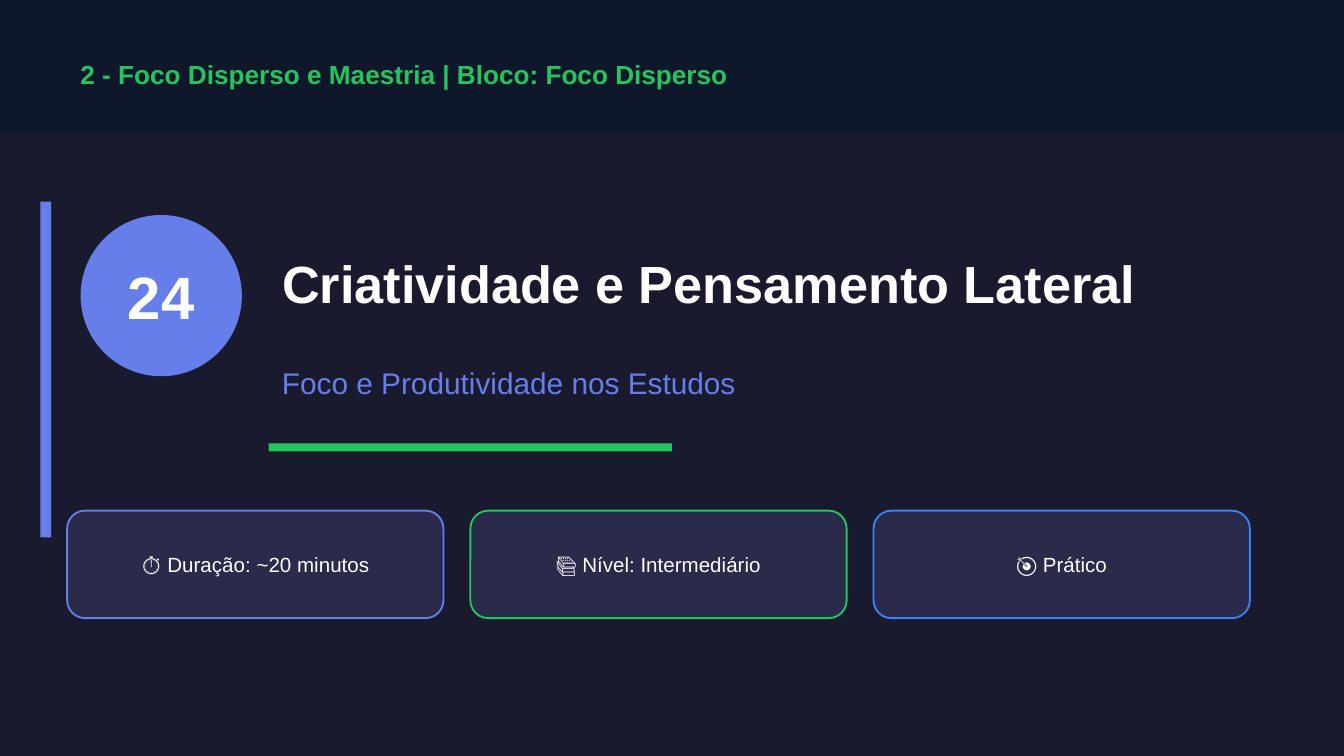
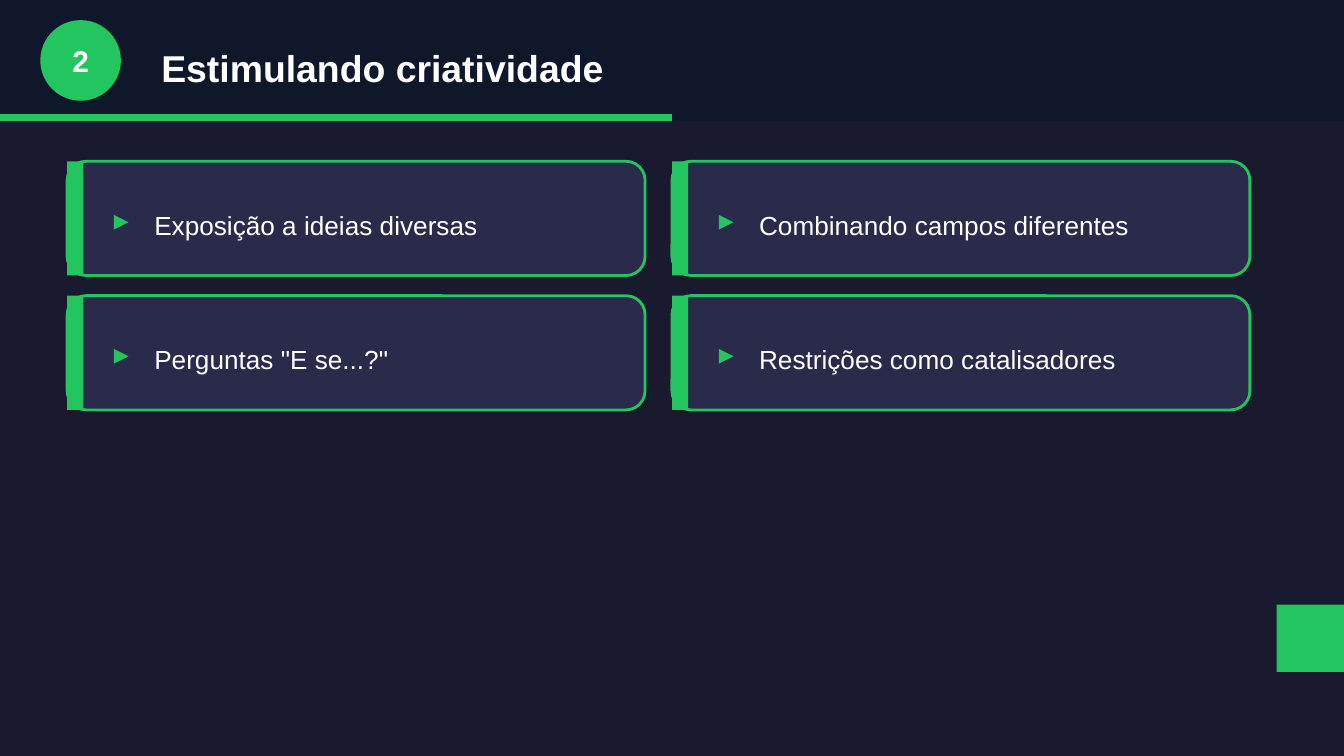
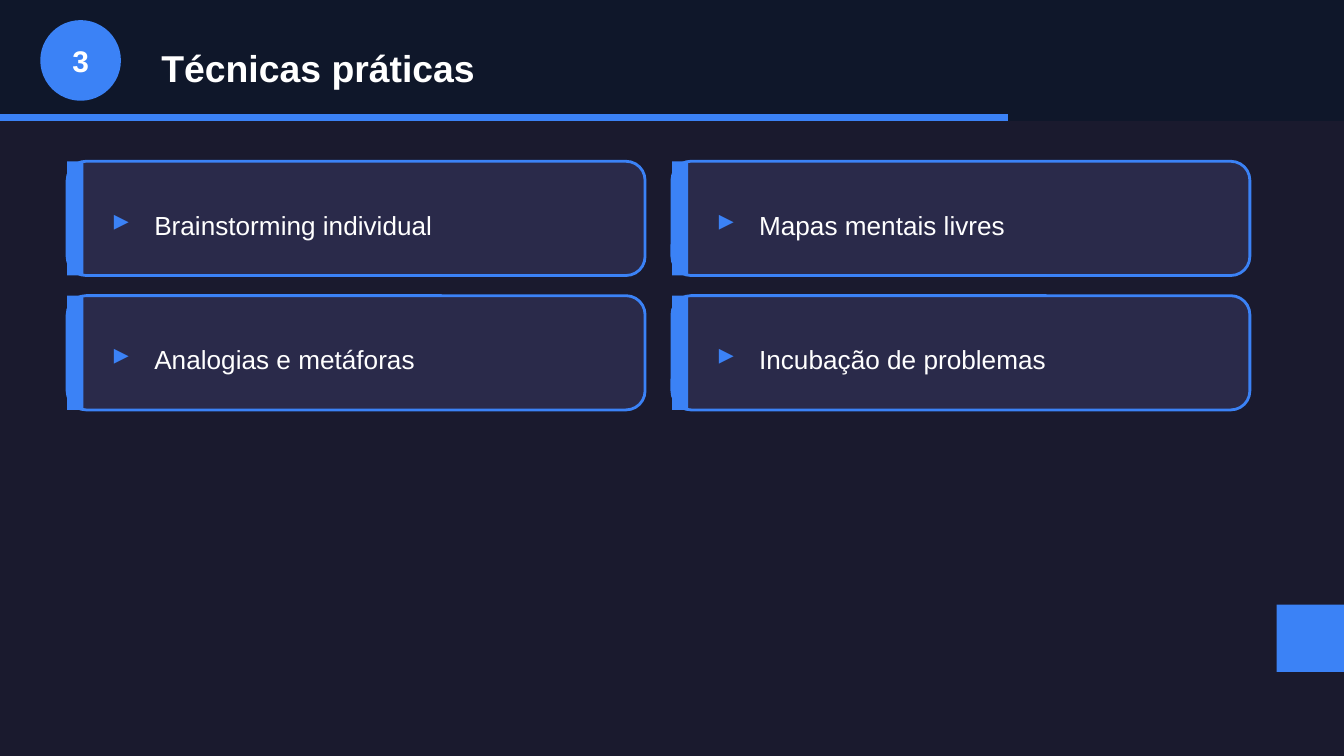
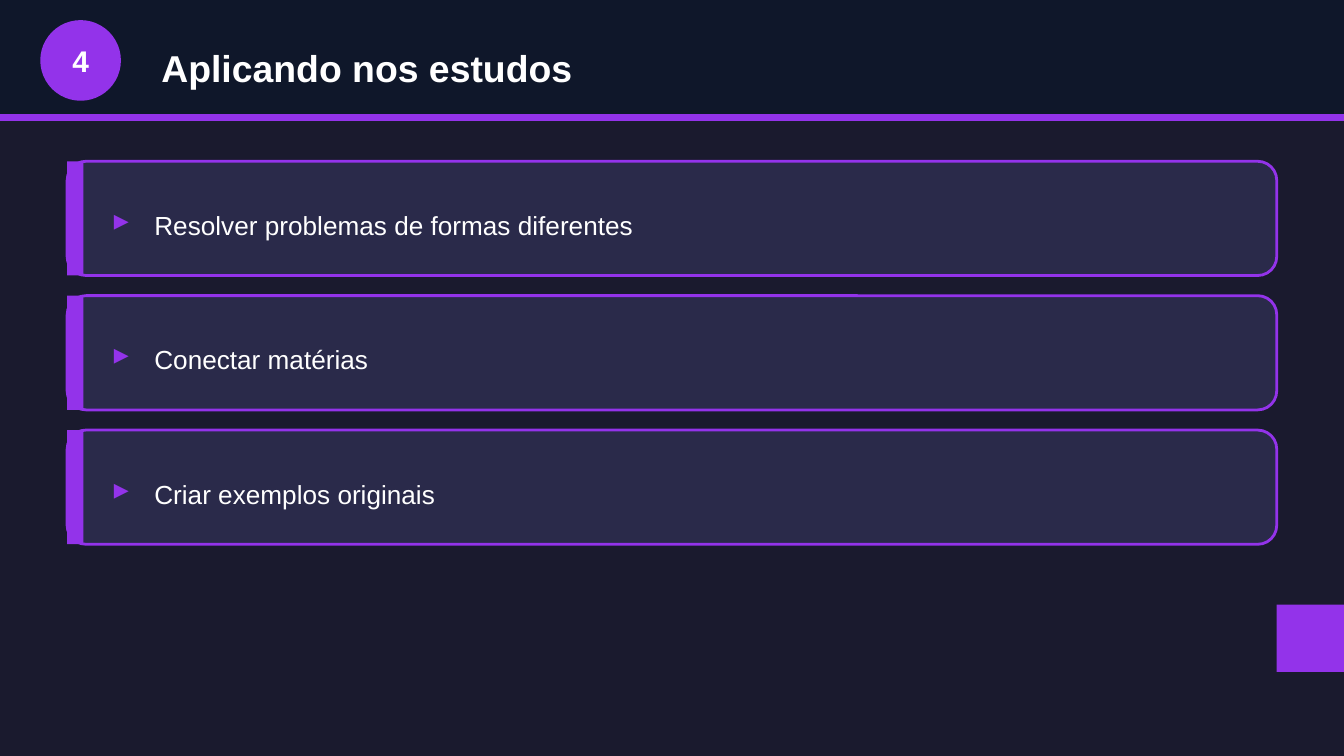
from pptx import Presentation
from pptx.dml.color import RGBColor
from pptx.enum.shapes import MSO_SHAPE as Kind
from pptx.enum.text import MSO_ANCHOR as Anchor, MSO_AUTO_SIZE as Fit, PP_ALIGN as Align
from pptx.util import Inches, Pt

NIGHT, NAVY, PANEL, WHITE = "1A1A2E", "0F172A", "2A2A4A", "FFFFFF"
INDIGO, GREEN, BLUE, PURPLE = "667EEA", "22C55E", "3B82F6", "9333EA"
FONT = "Arial"
hue = RGBColor.from_string


def draw(slide, kind, place, fill, edge=None, width=1):
    shape = slide.shapes.add_shape(kind, *map(Inches, place))
    shape.shadow.inherit = False
    shape.fill.solid()
    shape.fill.fore_color.rgb = hue(fill)
    if edge:
        shape.line.color.rgb = hue(edge)
        shape.line.width = Pt(width)
    else:
        shape.line.fill.background()
    return shape


def write(slide, place, text, size, color=WHITE, bold=False, align=Align.LEFT, box=None):
    spot = [Inches(n) for n in place]
    if box is None:
        box = slide.shapes.add_textbox(*spot)
    box.left, box.top, box.width, box.height = spot
    frame = box.text_frame
    frame.text = text
    frame.word_wrap = True
    frame.auto_size = Fit.NONE
    frame.vertical_anchor = Anchor.MIDDLE
    line = frame.paragraphs[0]
    line.alignment = align
    font = line.runs[0].font
    font.name, font.size, font.bold = FONT, Pt(size), bold
    font.color.rgb = hue(color)


deck = Presentation()
deck.slide_width = Inches(10)
deck.slide_height = deck.slide_width * 9 // 16
back = deck.slide_master.background.fill
back.solid()
back.fore_color.rgb = hue(NIGHT)
layout = deck.slide_layouts[5]

cover = deck.slides.add_slide(layout)
band = draw(cover, Kind.RECTANGLE, (0, 0, 10, 1), NAVY)
write(cover, (0.5, 0.35, 9, 0.4), "2 - Foco Disperso e Maestria | Bloco: Foco Disperso", 14, GREEN, True)
draw(cover, Kind.RECTANGLE, (0.3, 1.5, 0.08, 2.5), INDIGO)
draw(cover, Kind.OVAL, (0.6, 1.6, 1.2, 1.2), INDIGO)
write(cover, (0.6, 1.85, 1.2, 0.7), "24", 32, bold=True, align=Align.CENTER)
title = cover.shapes.title
band.element.addnext(title.element)
write(cover, (2, 1.6, 7.5, 1), "Criatividade e Pensamento Lateral", 28, bold=True, box=title)
write(cover, (2, 2.6, 7.5, 0.5), "Foco e Produtividade nos Estudos", 16, INDIGO)
draw(cover, Kind.RECTANGLE, (2, 3.3, 3, 0.06), GREEN)

facts = [
    ("⏱ Duração: ~20 minutos", INDIGO),
    ("📚 Nível: Intermediário", GREEN),
    ("🎯 Prático", BLUE),
]
for col, (fact, tint) in enumerate(facts):
    left = 0.5 + 3 * col
    draw(cover, Kind.ROUNDED_RECTANGLE, (left, 3.8, 2.8, 0.8), PANEL, tint)
    write(cover, (left, 3.95, 2.8, 0.5), fact, 11, align=Align.CENTER)

topics = [
    ("Estimulando criatividade", GREEN, 2, 4.3, [
        "Exposição a ideias diversas",
        "Combinando campos diferentes",
        'Perguntas "E se...?"',
        "Restrições como catalisadores",
    ]),
    ("Técnicas práticas", BLUE, 2, 4.3, [
        "Brainstorming individual",
        "Mapas mentais livres",
        "Analogias e metáforas",
        "Incubação de problemas",
    ]),
    ("Aplicando nos estudos", PURPLE, 1, 9, [
        "Resolver problemas de formas diferentes",
        "Conectar matérias",
        "Criar exemplos originais",
    ]),
]
for page, (head, tint, cols, wide, points) in enumerate(topics, 2):
    slide = deck.slides.add_slide(layout)
    band = draw(slide, Kind.RECTANGLE, (0, 0, 10, 0.9), NAVY)
    draw(slide, Kind.RECTANGLE, (0, 0.85, 2.5 * page, 0.05), tint)
    draw(slide, Kind.OVAL, (0.3, 0.15, 0.6, 0.6), tint)
    write(slide, (0.3, 0.25, 0.6, 0.4), str(page), 16, bold=True, align=Align.CENTER)
    title = slide.shapes.title
    band.element.addnext(title.element)
    write(slide, (1.1, 0.25, 8.5, 0.5), head, 20, bold=True, box=title)
    for i, point in enumerate(points):
        row, col = divmod(i, cols)
        left, top = 0.5 + 4.5 * col, 1.2 + row
        draw(slide, Kind.ROUNDED_RECTANGLE, (left, top, wide, 0.85), PANEL, tint, 1.5)
        draw(slide, Kind.RECTANGLE, (left, top, 0.12, 0.85), tint)
        write(slide, (left + 0.25, top + 0.25, 0.3, 0.35), "▸", 16, tint, True)
        write(slide, (left + 0.55, top + 0.25, wide - 0.8, 0.45), point, 14)
    draw(slide, Kind.RECTANGLE, (9.5, 4.5, 0.5, 0.5), tint)

deck.save("out.pptx")
